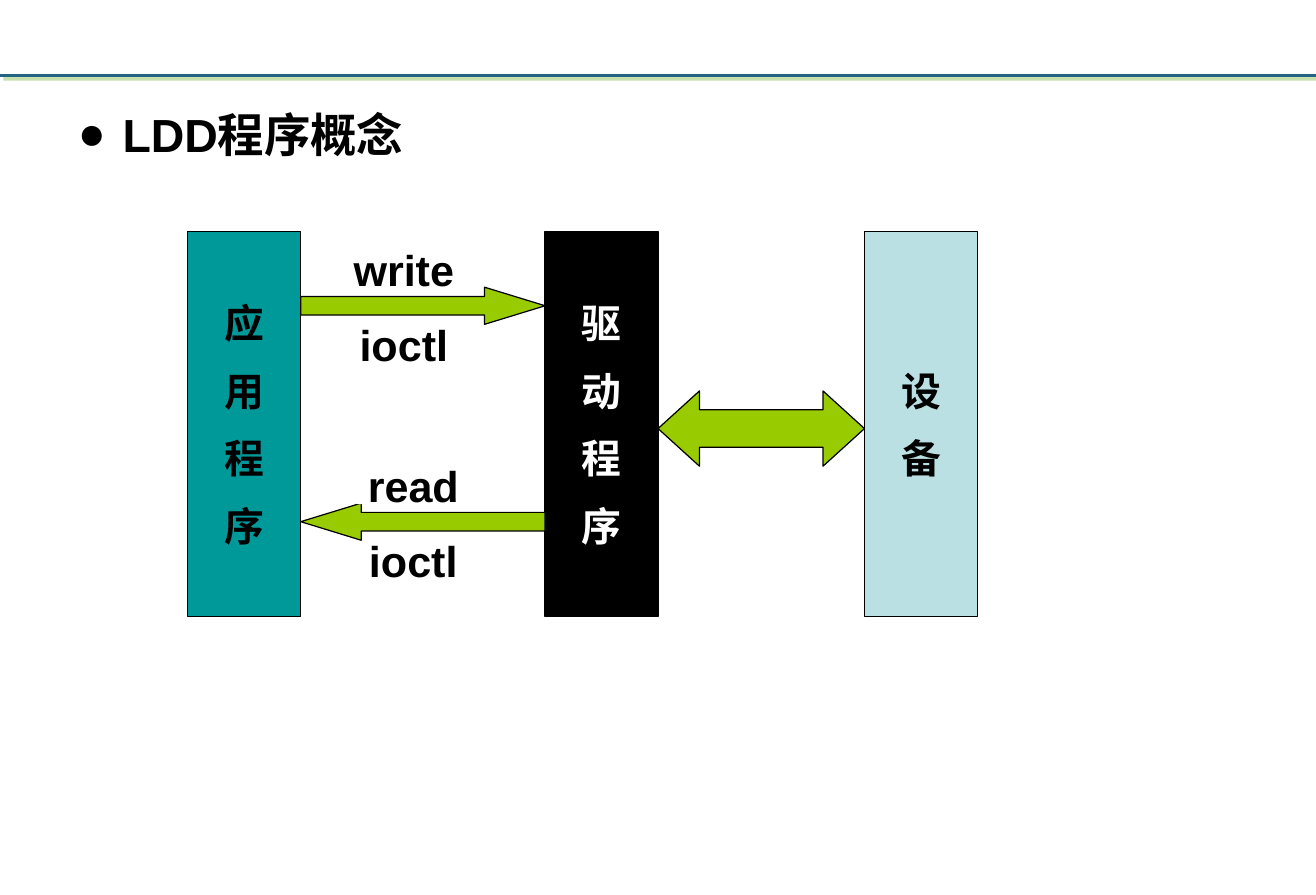
import dataclasses

import lxml.etree
import pptx
import pptx.dml.color
import pptx.enum.shapes
import pptx.enum.text
import pptx.oxml.ns
import pptx.util

Pt = pptx.util.Pt
ShapeType = pptx.enum.shapes.MSO_SHAPE
BLACK, WHITE, GREEN = "000000", "FFFFFF", "99CC00"
SLIDE_WIDTH, SLIDE_HEIGHT = 793.7, 540
COLUMN_TOP, COLUMN_WIDTH, COLUMN_HEIGHT = 139.6, 68.1, 232.4
LABEL_WIDTH, LABEL_HEIGHT = 67.7, 23
CALL_ARROW_HEIGHT = 22.4


@dataclasses.dataclass
class Column:
    name: str
    left: float
    fill: str
    text_color: str = BLACK

    @property
    def right(self) -> float:
        return self.left + COLUMN_WIDTH


@dataclasses.dataclass
class Call:
    upper_label: str
    lower_label: str
    label_left: float
    top: float
    arrow: ShapeType


APPLICATION = Column("应用程序", 113.3, "009999")
DRIVER = Column("驱动程序", 328.8, BLACK, WHITE)
DEVICE = Column("设备", 521.4, "BBE0E3")
CALLS = [
    Call("write", "ioctl", 209.8, 150.9, ShapeType.RIGHT_ARROW),
    Call("read", "ioctl", 215.5, 281.2, ShapeType.LEFT_ARROW),
]


def color(value: str) -> pptx.dml.color.RGBColor:
    return pptx.dml.color.RGBColor.from_string(value)


def add_child(parent, tag: str, **attributes: str):
    child = lxml.etree.SubElement(parent, pptx.oxml.ns.qn(tag))
    for name, value in attributes.items():
        child.set(name, value)
    return child


def format_runs(paragraph, size: float, text_color: str) -> None:
    for run in paragraph.runs:
        run.font.name = "Arial"
        run.font.size = Pt(size)
        run.font.bold = True
        run.font.color.rgb = color(text_color)


def add_block(slide, kind: ShapeType, left: float, top: float, width: float,
              height: float, fill: str, outlined: bool = True):
    shape = slide.shapes.add_shape(kind, Pt(left), Pt(top), Pt(width), Pt(height))
    shape.shadow.inherit = False
    shape.fill.solid()
    shape.fill.fore_color.rgb = color(fill)
    if outlined:
        shape.line.color.rgb = color(BLACK)
        shape.line.width = Pt(0.75)
    else:
        shape.line.fill.background()
    return shape


def set_centered_text(shape, text: str, size: float, text_color: str) -> None:
    frame = shape.text_frame
    frame.text = text
    frame.word_wrap = False
    frame.vertical_anchor = pptx.enum.text.MSO_ANCHOR.MIDDLE
    for index, paragraph in enumerate(frame.paragraphs):
        paragraph.alignment = pptx.enum.text.PP_ALIGN.CENTER
        paragraph.space_before = Pt(size / 2 if index else 0)
        format_runs(paragraph, size, text_color)


def add_header_rule(slide) -> None:
    rule = slide.shapes.add_connector(
        pptx.enum.shapes.MSO_CONNECTOR.STRAIGHT, Pt(0), Pt(45.5), Pt(SLIDE_WIDTH), Pt(45.5))
    rule.line.color.rgb = color("236485")
    rule.line.width = Pt(2.25)
    effects = add_child(rule._element.spPr, "a:effectLst")
    shadow = add_child(effects, "a:outerShdw", dist=str(Pt(2.8)), dir="2700000",
                       algn="ctr", rotWithShape="0")
    shadow_color = add_child(shadow, "a:srgbClr", val="90C060")
    add_child(shadow_color, "a:alpha", val="50000")


def fill_body(body) -> None:
    body.left, body.top = Pt(39.7), Pt(60.4)
    body.width, body.height = Pt(714.3), Pt(421.9)
    body.text_frame.text = "LDD程序概念"
    paragraph = body.text_frame.paragraphs[0]
    paragraph.space_before = Pt(0)
    properties = paragraph._p.get_or_add_pPr()
    properties.set("marL", str(Pt(27)))
    properties.set("indent", str(Pt(-27)))
    add_child(properties, "a:buChar", char="●")
    format_runs(paragraph, 28, BLACK)


def add_column(slide, column: Column) -> None:
    shape = add_block(slide, ShapeType.RECTANGLE, column.left, COLUMN_TOP,
                      COLUMN_WIDTH, COLUMN_HEIGHT, column.fill)
    set_centered_text(shape, "\n".join(column.name), 24, column.text_color)


def add_call_arrow(slide, call: Call) -> None:
    arrow = add_block(slide, call.arrow, APPLICATION.right, call.top + CALL_ARROW_HEIGHT,
                      DRIVER.left - APPLICATION.right, CALL_ARROW_HEIGHT, GREEN)
    arrow.adjustments[0], arrow.adjustments[1] = 0.5, 1.63


def add_call_labels(slide, call: Call) -> None:
    labels = [(call.upper_label, call.top),
              (call.lower_label, call.top + 2 * CALL_ARROW_HEIGHT + 0.6)]
    for text, top in labels:
        label = add_block(slide, ShapeType.RECTANGLE, call.label_left, top,
                          LABEL_WIDTH, LABEL_HEIGHT, WHITE, outlined=False)
        set_centered_text(label, text, 26, BLACK)


def main() -> None:
    presentation = pptx.Presentation()
    presentation.slide_width = Pt(SLIDE_WIDTH)
    presentation.slide_height = Pt(SLIDE_HEIGHT)
    slide = presentation.slides.add_slide(presentation.slide_layouts[1])
    title = slide.shapes.title._element
    title.getparent().remove(title)
    add_header_rule(slide)
    fill_body(slide.placeholders[1])

    for column in (APPLICATION, DRIVER, DEVICE):
        add_column(slide, column)
    device_arrow = add_block(slide, ShapeType.LEFT_RIGHT_ARROW, DRIVER.right, 235.9,
                             DEVICE.left - DRIVER.right, 45.4, GREEN)
    device_arrow.adjustments[0], device_arrow.adjustments[1] = 0.5, 0.55
    for call in CALLS:
        add_call_arrow(slide, call)
    for call in CALLS:
        add_call_labels(slide, call)
    presentation.save("out.pptx")


if __name__ == "__main__":
    main()
